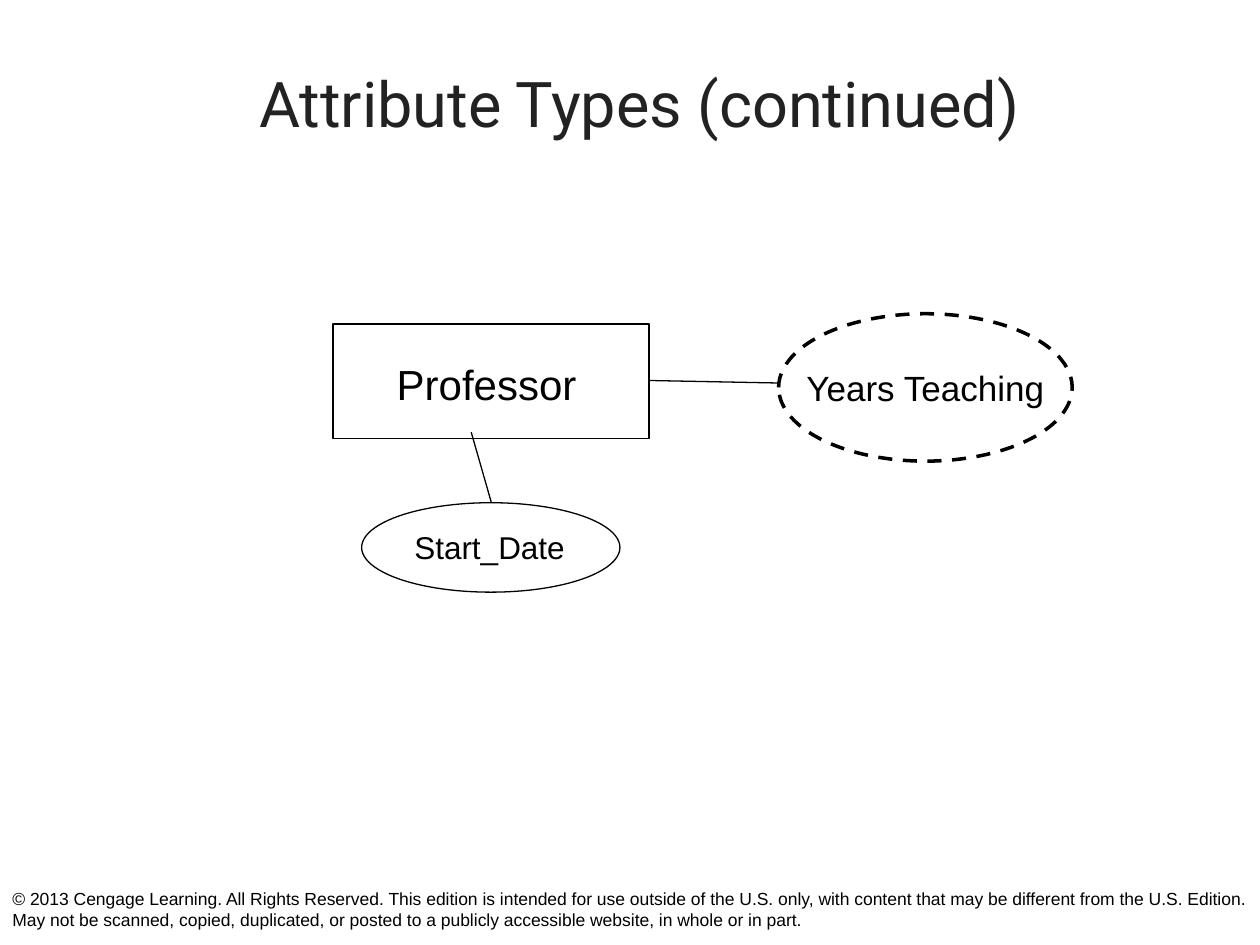
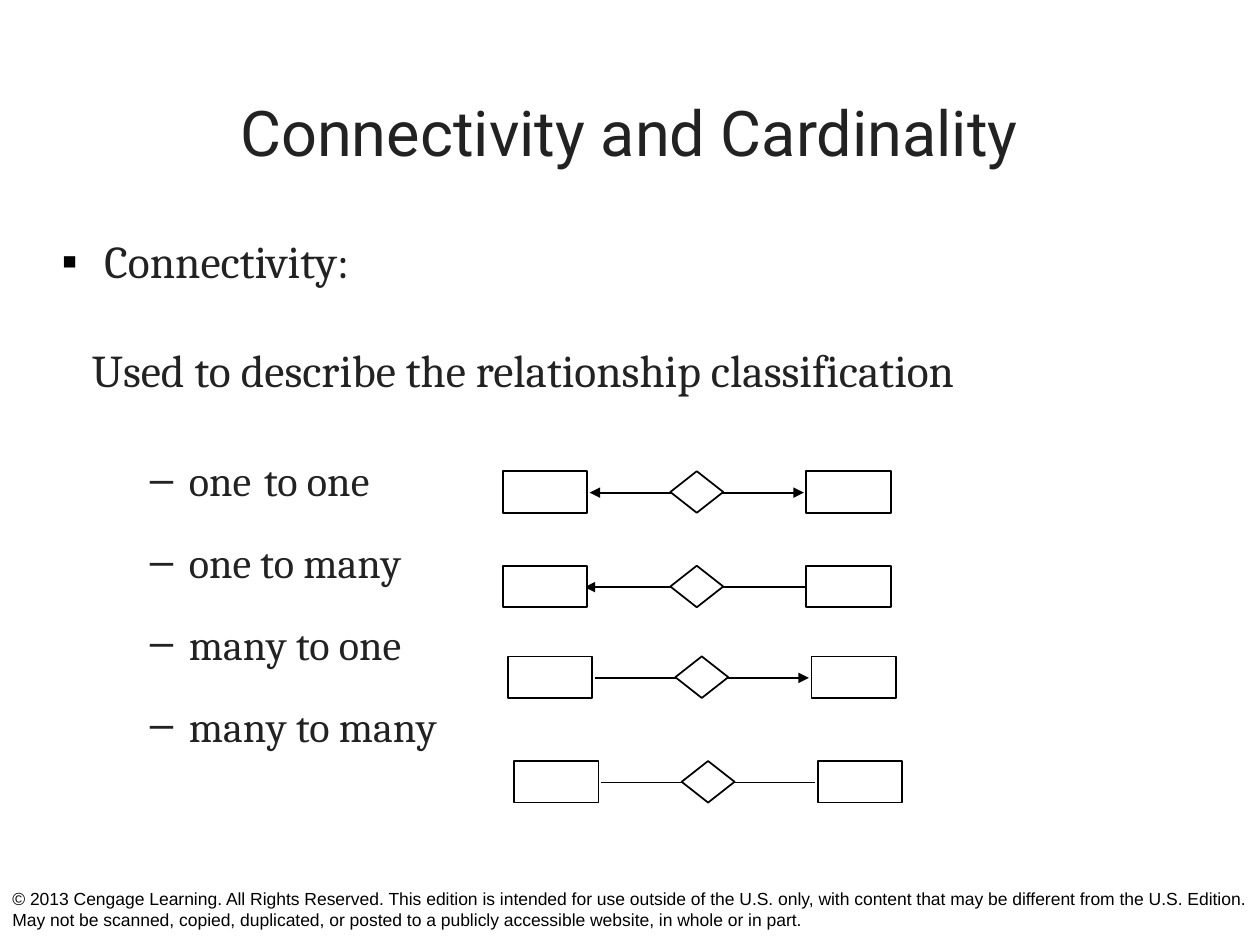
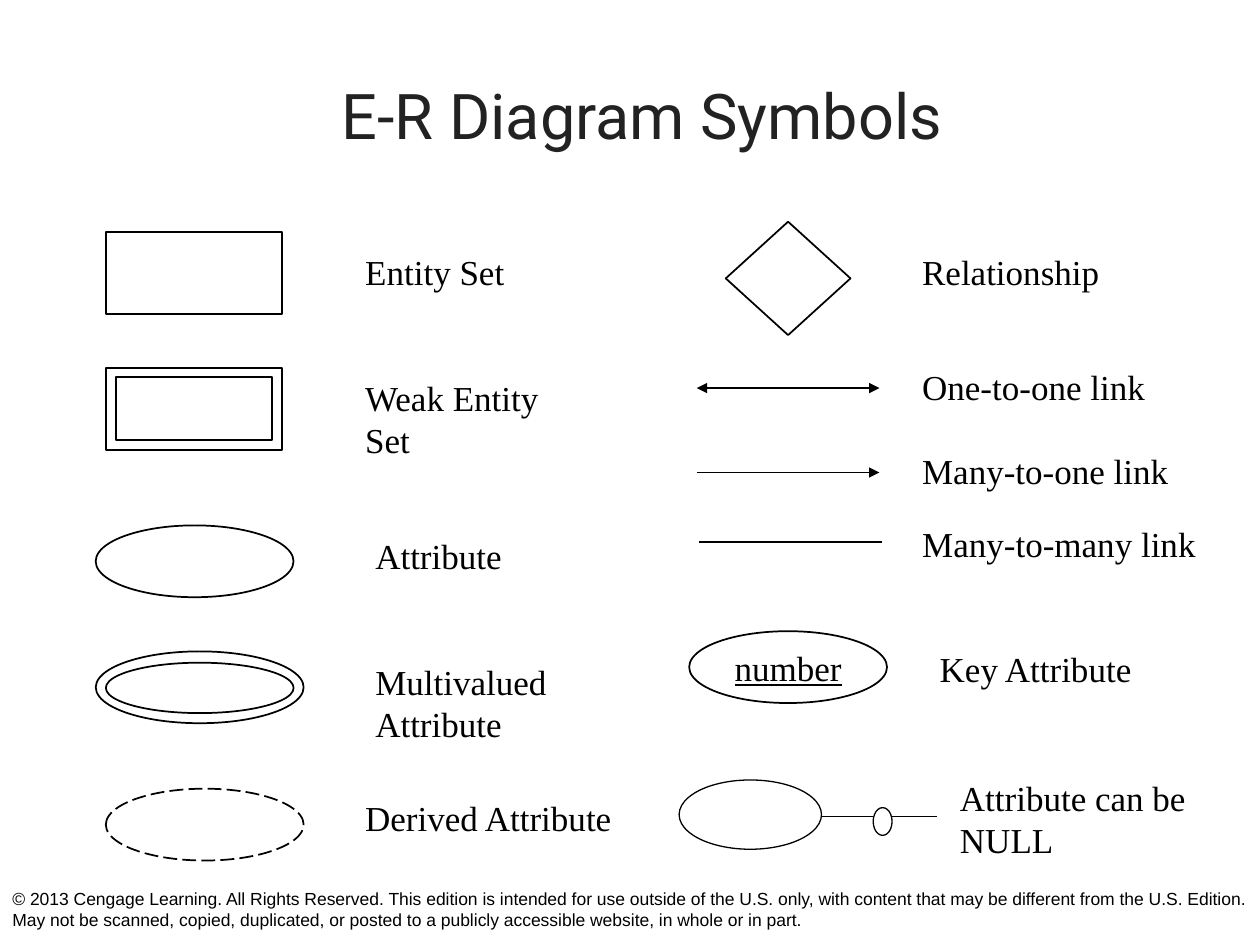
from dataclasses import dataclass

from lxml import etree
from pptx import Presentation
from pptx.dml.color import RGBColor
from pptx.enum import dml, shapes, text
from pptx.oxml import ns
from pptx.util import Inches, Pt


@dataclass(frozen=True)
class Theme:
    ink: str = "000000"
    heading: str = "222222"
    paper: str = "FFFFFF"
    title_font: str = "Roboto"
    body_font: str = "Cambria"
    gap_font: str = "Comic Neue"
    diagram_font: str = "Arial"
    symbol_font: str = "Times New Roman"
    title_size: float = 36
    body_size: float = 26
    list_size: float = 24.1
    gap_size: float = 22.2
    entity_size: float = 24
    label_size: float = 20
    small_label_size: float = 18
    footer_size: float = 10
    thin: float = 0.75
    line: float = 1
    bold_line: float = 2


T = Theme()
RECT = shapes.MSO_SHAPE.RECTANGLE
ELLIPSE = shapes.MSO_SHAPE.OVAL
DIAMOND = shapes.MSO_SHAPE.DIAMOND
COPYRIGHT = (
    "© 2013 Cengage Learning. All Rights Reserved. This edition is intended for use "
    "outside of the U.S. only, with content that may be different from the U.S. Edition. "
    "May not be scanned, copied, duplicated, or posted to a publicly accessible website, "
    "in whole or in part."
)


def rgb(value):
    return RGBColor.from_string(value)


def add_run(p, content, font, size, color=T.ink, underline=False):
    r = p.add_run()
    r.text = content
    r.font.name = font
    r.font.size = Pt(size)
    r.font.color.rgb = rgb(color)
    if underline:
        r.font.underline = True


def set_bullet(p, char, color, left, hanging):
    pPr = p._p.get_or_add_pPr()
    pPr.set("marL", str(Inches(left)))
    pPr.set("indent", str(-Inches(hanging)))
    buClr = etree.SubElement(pPr, ns.qn("a:buClr"))
    etree.SubElement(buClr, ns.qn("a:srgbClr")).set("val", color)
    etree.SubElement(pPr, ns.qn("a:buFont")).set("typeface", "Arial")
    etree.SubElement(pPr, ns.qn("a:buChar")).set("char", char)


class Region:
    def __init__(self, slide, left, top):
        self.shapes = slide.shapes
        self.left = left
        self.top = top

    def place(self, x, y):
        return Inches(self.left + x), Inches(self.top + y)

    def shape(self, kind, x, y, w, h, fill=T.paper, width=T.line, dash=None):
        sp = self.shapes.add_shape(kind, *self.place(x, y), Inches(w), Inches(h))
        sp.shadow.inherit = False
        if fill:
            sp.fill.solid()
            sp.fill.fore_color.rgb = rgb(fill)
        else:
            sp.fill.background()
        sp.line.color.rgb = rgb(T.ink)
        sp.line.width = Pt(width)
        if dash:
            sp.line.dash_style = dash
        return sp

    def line(self, x1, y1, x2, y2, width=T.line, head=False, tail=False):
        cx = self.shapes.add_connector(
            shapes.MSO_CONNECTOR.STRAIGHT, *self.place(x1, y1), *self.place(x2, y2)
        )
        cx.line.color.rgb = rgb(T.ink)
        cx.line.width = Pt(width)
        ln = cx.line._get_or_add_ln()
        for tag, wanted in (("a:headEnd", head), ("a:tailEnd", tail)):
            if wanted:
                etree.SubElement(ln, ns.qn(tag)).set("type", "triangle")
        etree.SubElement(cx._element.spPr, ns.qn("a:effectLst"))

    def box(self, x, y, w, h):
        tf = self.shapes.add_textbox(*self.place(x, y), Inches(w), Inches(h)).text_frame
        tf.word_wrap = True
        return tf

    def label(self, lines, x, y, w, h, font=T.symbol_font, size=T.label_size):
        tf = self.box(x, y, w, h)
        for i, content in enumerate(lines):
            p = tf.add_paragraph() if i else tf.paragraphs[0]
            add_run(p, content, font, size)


def caption(sp, content, font, underline=False):
    tf = sp.text_frame
    tf.word_wrap = False
    tf.vertical_anchor = text.MSO_ANCHOR.MIDDLE
    p = tf.paragraphs[0]
    p.alignment = text.PP_ALIGN.CENTER
    add_run(p, content, font, T.label_size, underline=underline)


def new_slide(prs, title, left, top, width, height):
    slide = prs.slides.add_slide(prs.slide_layouts[6])
    page = Region(slide, 0, 0)
    page.label([COPYRIGHT], 0, 7, 10, 0.5, T.diagram_font, T.footer_size)
    tf = page.box(left, top, width, height)
    tf.vertical_anchor = text.MSO_ANCHOR.MIDDLE
    p = tf.paragraphs[0]
    p.alignment = text.PP_ALIGN.CENTER
    add_run(p, title, T.title_font, T.title_size, T.heading)
    return slide


def professor_diagram(slide, left, top):
    g = Region(slide, left, top)
    years = g.shape(ELLIPSE, 3.54, 0, 2.33, 1.17, None, T.bold_line, dml.MSO_LINE.DASH)
    caption(years, "Years Teaching", T.diagram_font)
    g.shape(RECT, 0, 0.08, 2.51, 0.91, None)
    g.label(["Professor"], 0.41, 0.31, 1.75, 0.5, T.diagram_font, T.entity_size)
    g.line(2.51, 0.53, 3.54, 0.55, T.thin)
    g.shape(ELLIPSE, 0.23, 1.5, 2.05, 0.71, None, T.thin)
    g.label(["Start_Date"], 0.55, 1.65, 1.5, 0.4, T.diagram_font, T.small_label_size)
    g.line(1.1, 0.94, 1.26, 1.5, T.thin)


def connectivity_text(slide, left, top):
    tf = Region(slide, left, top).box(0, 0, 9.37, 1.99)
    p = tf.paragraphs[0]
    set_bullet(p, "▪", T.ink, 0.34, 0.34)
    add_run(p, "Connectivity:", T.body_font, T.body_size, T.heading)
    p = tf.add_paragraph()
    p._p.get_or_add_pPr().set("marL", str(Inches(0.24)))
    p.space_before = Pt(31)
    add_run(p, "Used to describe the relationship classification",
            T.body_font, T.body_size, T.heading)


def classification_list(slide, left, top):
    tf = Region(slide, left, top).box(0, 0, 3.32, 2.6)
    for i, words in enumerate(
        (("one", "to one"), ("one to many",), ("many to one",), ("many to many",))
    ):
        p = tf.add_paragraph() if i else tf.paragraphs[0]
        set_bullet(p, "–", T.heading, 0.81, 0.31)
        p.line_spacing = 0.7
        if i:
            p.space_before = Pt(26.5)
        for j, word in enumerate(words):
            if j:
                add_run(p, " ", T.gap_font, T.gap_size, T.heading)
            add_run(p, word, T.body_font, T.list_size, T.heading)


def relationship_row(slide, left, top, start, end, head, tail):
    g = Region(slide, left, top)
    g.line(start, 0.17, end, 0.17, head=head, tail=tail)
    g.shape(DIAMOND, 1.33, 0, 0.42, 0.33)
    for x in (0, 2.41):
        g.shape(RECT, x, 0, 0.67, 0.33)


def entity_symbols(slide, left, top):
    g = Region(slide, left, top)
    for kind, x, y, w, h in (
        (RECT, 0.08, 0, 1.4, 0.65),
        (RECT, 0.08, 1.08, 1.4, 0.65),
        (RECT, 0.16, 1.15, 1.24, 0.5),
        (ELLIPSE, 0, 2.33, 1.57, 0.57),
        (ELLIPSE, 0, 3.33, 1.65, 0.57),
        (ELLIPSE, 0.08, 3.42, 1.49, 0.4),
    ):
        g.shape(kind, x, y, w, h)
    g.shape(ELLIPSE, 0.08, 4.42, 1.57, 0.57, dash=dml.MSO_LINE.LONG_DASH)
    for lines, x, y, w in (
        (["Entity Set"], 2.04, 0.1, 1.35),
        (["Weak Entity", "Set"], 2.04, 1.1, 1.7),
        (["Attribute"], 2.12, 2.35, 1.25),
        (["Multivalued", "Attribute"], 2.12, 3.35, 1.65),
        (["Derived Attribute"], 2.04, 4.43, 2.2),
    ):
        g.label(lines, x, y, w, 0.1 + 0.33 * len(lines))


def link_symbols(slide, left, top):
    g = Region(slide, left, top)
    g.shape(DIAMOND, 0.37, 0, 0.99, 0.9)
    for x, y, head, tail in (
        (0.14, 1.32, True, True),
        (0.14, 1.99, False, True),
        (0.16, 2.54, False, False),
    ):
        g.line(x, y, x + 1.45, y, head=head, tail=tail)
    key = g.shape(ELLIPSE, 0.08, 3.25, 1.57, 0.57)
    caption(key, "number", T.symbol_font, underline=True)
    for x1, x2 in ((1.13, 1.54), (1.69, 2.05)):
        g.line(x1, 4.72, x2, 4.72, T.thin)
    g.shape(ELLIPSE, 1.54, 4.65, 0.15, 0.22, None, T.thin)
    g.shape(ELLIPSE, 0, 4.43, 1.13, 0.55, None, T.thin)
    for lines, x, y, w in (
        (["Relationship"], 1.83, 0.18, 1.65),
        (["One-to-one link"], 1.83, 1.09, 2),
        (["Many-to-one link"], 1.83, 1.76, 2.2),
        (["Many-to-many link"], 1.83, 2.34, 2.42),
        (["Key Attribute"], 1.97, 3.33, 1.8),
        (["Attribute can be", "NULL"], 2.13, 4.35, 2.05),
    ):
        g.label(lines, x, y, w, 0.1 + 0.33 * len(lines))


def main():
    prs = Presentation()
    prs.slide_width = Inches(10)
    prs.slide_height = Inches(7.5)

    slide = new_slide(prs, "Attribute Types (continued)", 1.56, 0.31, 7.03, 1.01)
    professor_diagram(slide, 2.64, 2.49)

    slide = new_slide(prs, "Connectivity and Cardinality", 0.58, 0.42, 8.83, 1.25)
    classification_list(slide, 0.59, 3.67)
    for row in (
        (3.99, 3.74, 0.69, 2.39, True, True),
        (3.99, 4.49, 2.44, 0.65, False, True),
        (4.03, 5.21, 0.69, 2.39, False, True),
        (4.08, 6.04, 0.69, 2.39, False, False),
    ):
        relationship_row(slide, *row)
    connectivity_text(slide, 0.39, 1.8)

    slide = new_slide(prs, "E-R Diagram Symbols", 1.87, 0.63, 6.45, 0.55)
    entity_symbols(slide, 0.76, 1.84)
    link_symbols(slide, 5.39, 1.76)

    prs.save("out.pptx")


if __name__ == "__main__":
    main()
